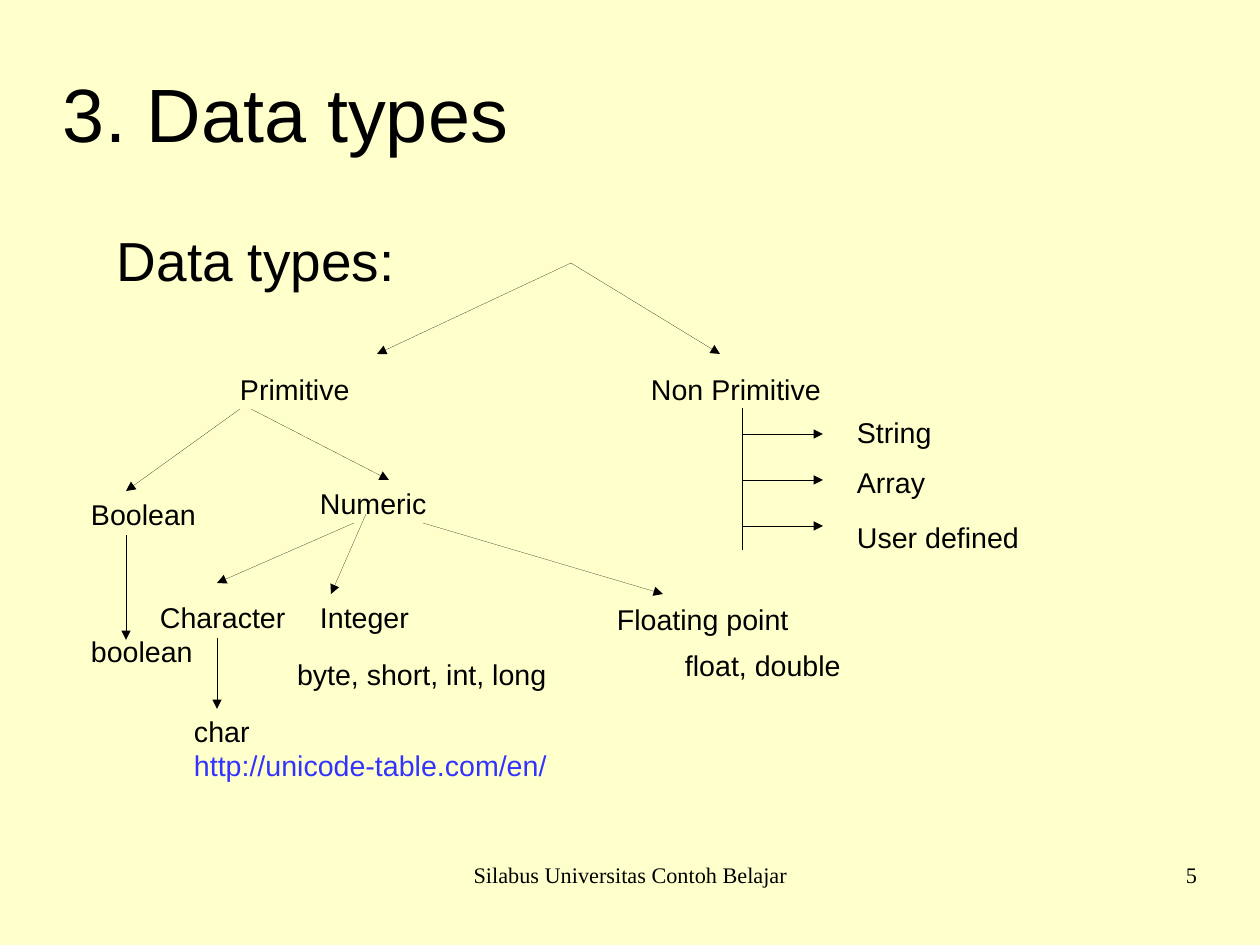
from dataclasses import dataclass

from lxml.etree import SubElement
from pptx import Presentation
from pptx.dml.color import RGBColor
from pptx.enum.shapes import MSO_CONNECTOR
from pptx.enum.text import MSO_ANCHOR, MSO_AUTO_SIZE, PP_ALIGN
from pptx.oxml.ns import qn
from pptx.slide import Slide
from pptx.util import Emu, Pt

EMU_PER_PX = 8000
COLORS = {"paper": "FFFFCC", "ink": "000000", "link": "3333FF"}


@dataclass(frozen=True)
class Label:
    text: str
    x: int
    y: int
    w: int
    h: int = 43
    size: float = 18
    font: str = "Arial"
    inset_x: int = 11
    inset_y: int = 6
    indent: int = 0
    align: PP_ALIGN = PP_ALIGN.LEFT
    anchor: MSO_ANCHOR = MSO_ANCHOR.TOP
    autosize: MSO_AUTO_SIZE = MSO_AUTO_SIZE.SHAPE_TO_FIT_TEXT
    link_line: int = -1


@dataclass(frozen=True)
class Line:
    x1: int
    y1: int
    x2: int
    y2: int
    arrow: bool = True


HEADINGS = [
    Label("3. Data types", 63, 35, 878, 155, size=47.6, inset_x=0, inset_y=0,
          anchor=MSO_ANCHOR.MIDDLE, autosize=MSO_AUTO_SIZE.NONE),
    Label("Data types:", 63, 227, 1134, 547, size=34.6, inset_x=0, inset_y=0,
          indent=54, autosize=MSO_AUTO_SIZE.NONE),
]

TYPE_LABELS = [
    Label("Primitive", 229, 366, 309),
    Label("Non Primitive", 640, 366, 309),
    Label("String", 846, 409, 126),
    Label("Array", 846, 459, 126),
    Label("User defined", 846, 514, 297),
    Label("Boolean", 80, 491, 183),
    Label("Numeric", 309, 480, 183),
    Label("boolean", 80, 628, 126),
    Label("Character", 149, 594, 183),
    Label("Integer", 309, 594, 286),
    Label("Floating point", 606, 596, 377),
    Label("byte, short, int, long", 286, 651, 274),
    Label("float, double", 674, 642, 274),
    Label("char\nhttp://unicode-table.com/en/", 183, 708, 823, 75, link_line=1),
]

FOOTERS = [
    Label(text, x, 861, w, 65, size=14, font="Times New Roman", inset_x=0,
          inset_y=0, align=align, autosize=MSO_AUTO_SIZE.NONE)
    for text, x, w, align in [
        ("Silabus Universitas Contoh Belajar", 431, 399, PP_ALIGN.CENTER),
        ("5", 903, 294, PP_ALIGN.RIGHT),
    ]
]

TREE_LINES = [
    Line(571, 263, 720, 354),
    Line(571, 263, 377, 354),
    Line(240, 409, 126, 491),
    Line(251, 409, 389, 480),
    Line(354, 523, 217, 583),
    Line(366, 514, 331, 594),
    Line(423, 523, 663, 594),
    Line(126, 535, 126, 640),
    Line(217, 638, 217, 709),
    Line(743, 409, 743, 549, arrow=False),
    *(Line(743, y, 823, y) for y in range(434, 527, 46)),
]


def px(n: int) -> Emu:
    return Emu(n * EMU_PER_PX)


def color(name: str) -> RGBColor:
    return RGBColor.from_string(COLORS[name])


def draw_label(s: Slide, label: Label) -> None:
    sp = s.shapes.add_textbox(px(label.x), px(label.y), px(label.w), px(label.h))
    tf = sp.text_frame
    tf.word_wrap = True
    tf.auto_size = label.autosize
    tf.vertical_anchor = label.anchor
    tf.margin_left = tf.margin_right = px(label.inset_x)
    tf.margin_top = tf.margin_bottom = px(label.inset_y)
    tf.text = label.text
    for i, p in enumerate(tf.paragraphs):
        p.alignment = label.align
        p.font.name = label.font
        p.font.size = Pt(label.size)
        p.font.color.rgb = color("link" if i == label.link_line else "ink")
        if label.indent:
            p._p.get_or_add_pPr().set("marL", str(px(label.indent)))


def draw_line(s: Slide, line: Line) -> None:
    cx = s.shapes.add_connector(MSO_CONNECTOR.STRAIGHT, px(line.x1), px(line.y1),
                                px(line.x2), px(line.y2))
    cx.line.color.rgb = color("ink")
    ln = cx.line._get_or_add_ln()
    ln.set("w", "0")
    if line.arrow:
        SubElement(ln, qn("a:tailEnd"), type="triangle")
    SubElement(cx._element.spPr, qn("a:effectLst"))


def main() -> None:
    prs = Presentation()
    prs.slide_width, prs.slide_height = px(1260), px(945)
    s = prs.slides.add_slide(prs.slide_layouts[6])
    s.background.fill.solid()
    s.background.fill.fore_color.rgb = color("paper")
    for label in HEADINGS:
        draw_label(s, label)
    for line in TREE_LINES:
        draw_line(s, line)
    for label in TYPE_LABELS + FOOTERS:
        draw_label(s, label)
    prs.save("out.pptx")


if __name__ == "__main__":
    main()
